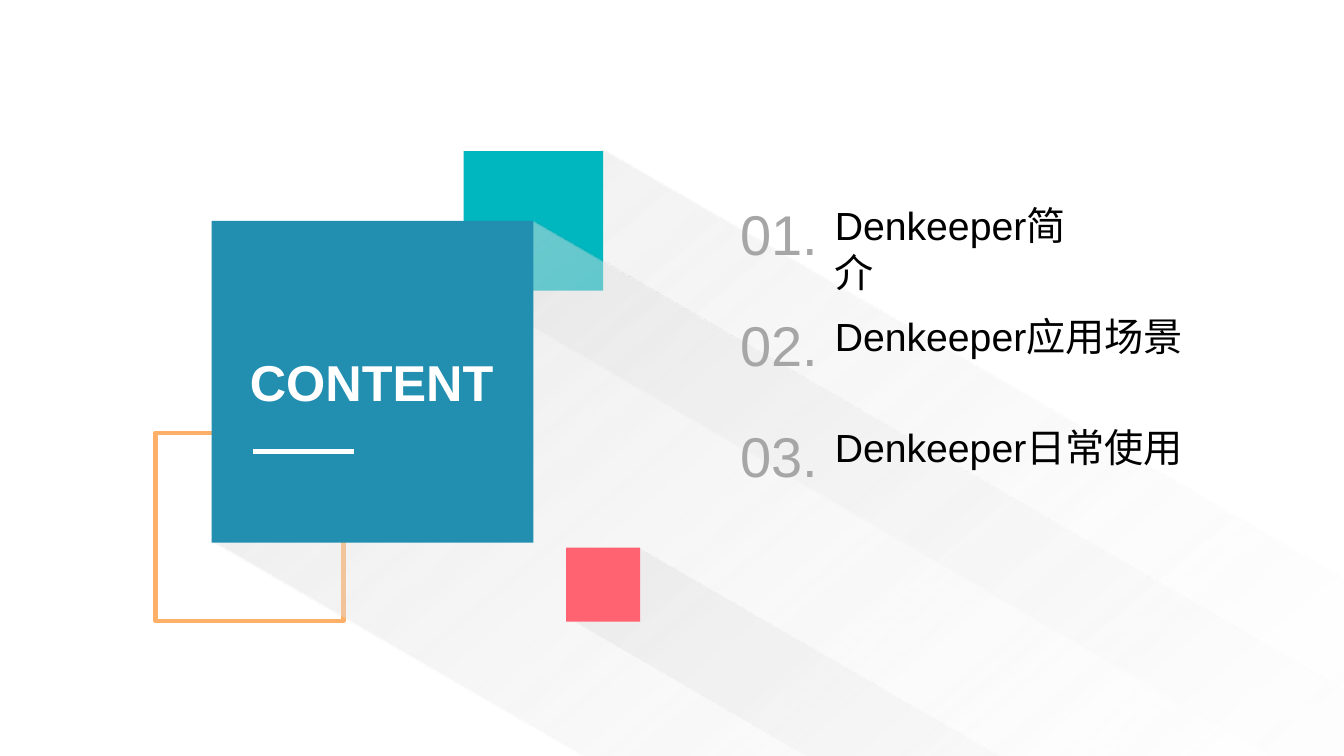
import math

import lxml.etree
import pptx
import pptx.dml.color
import pptx.enum.shapes
import pptx.enum.text
import pptx.oxml
import pptx.oxml.ns
import pptx.util

RGB = pptx.dml.color.RGBColor
WHITE = RGB(0xFF, 0xFF, 0xFF)
BLACK = RGB(0x00, 0x00, 0x00)
GREY = RGB(0xA6, 0xA6, 0xA6)
TEAL = RGB(0x00, 0xB6, 0xBF)
BLUE = RGB(0x22, 0x8E, 0xB0)
ORANGE = RGB(0xFE, 0xB0, 0x68)
RED = RGB(0xFF, 0x63, 0x72)
SHADE = RGB(0xD9, 0xD9, 0xD9)
PALE = RGB(0xF2, 0xF2, 0xF2)

# The slide is a grid of square cells.
COLS, ROWS = 160, 90
CELL = pptx.util.Inches(1) / 12
SHADOW_ANGLE = 30
FADE_ANGLE = 20

TITLE = {"size": pptx.util.Pt(36), "bold": True, "name": "Arial"}
NUMBER = {"size": pptx.util.Pt(40), "name": "Arial"}
ITEM = {"size": pptx.util.Pt(28), "name": "Arial"}

# Text and the columns its box spans
AGENDA = [("Denkeeper简介", 34.4), ("Denkeeper应用场景", 43.9),
          ("Denkeeper日常使用", 43.9)]
AGENDA_TOP, AGENDA_STEP = 23.2, 13.2


def cells(*values):
    """Turn grid units into EMU lengths."""
    return [pptx.util.Emu(round(v * CELL)) for v in values]


def add_square(s, left, top, side, fill=None, line=None):
    """Add a filled or outlined square."""
    sp = s.shapes.add_shape(pptx.enum.shapes.MSO_SHAPE.RECTANGLE,
                            *cells(left, top, side, side))
    sp.shadow.inherit = False
    if fill is not None:
        sp.fill.solid()
        sp.fill.fore_color.rgb = fill
    else:
        sp.fill.background()
    if line is not None:
        sp.line.color.rgb = line
        sp.line.width = pptx.util.Pt(3)
    else:
        sp.line.fill.background()


def fade(sp, opacity):
    """Fill a shape with grey that fades to nothing."""
    stops = "".join(
        f'<a:gs pos="{pos * 1000}"><a:srgbClr val="{color}">'
        f'<a:alpha val="{alpha * 1000}"/></a:srgbClr></a:gs>'
        for pos, color, alpha in [(0, SHADE, opacity), (85, PALE, 0), (100, WHITE, 0)])
    grad = pptx.oxml.parse_xml(
        f'<a:gradFill rotWithShape="1" {pptx.oxml.ns.nsdecls("a")}>'
        f'<a:gsLst>{stops}</a:gsLst>'
        f'<a:lin ang="{FADE_ANGLE * 60000}" scaled="0"/></a:gradFill>')
    sp.fill.background()
    no_fill = sp.element.spPr.find(pptx.oxml.ns.qn("a:noFill"))
    sp.element.spPr.replace(no_fill, grad)


def add_long_shadow(s, corners, center, opacity):
    """Add a slanted shadow, drawn level and then turned about its center."""
    cos = math.cos(math.radians(SHADOW_ANGLE))
    sin = math.sin(math.radians(SHADOW_ANGLE))
    cx, cy = center
    level = []
    for x, y in corners:
        dx, dy = x - cx, y - cy
        level.append(cells(cx + cos * dx + sin * dy, cy - sin * dx + cos * dy))
    outline = s.shapes.build_freeform(*level[0])
    outline.add_line_segments(level[1:], close=True)
    sp = outline.convert_to_shape()
    sp.rotation = SHADOW_ANGLE
    sp.shadow.inherit = False
    sp.line.fill.background()
    fade(sp, opacity)


def add_text(s, text, box, style, color, wrap=False, align="LEFT"):
    """Add one line of styled text in a box given in cells."""
    tf = s.shapes.add_textbox(*cells(*box)).text_frame
    tf.word_wrap = wrap
    p = tf.paragraphs[0]
    p.alignment = pptx.enum.text.PP_ALIGN[align]
    r = p.add_run()
    r.text = text
    for name, value in style.items():
        setattr(r.font, name, value)
    r.font.color.rgb = color


def add_rule(s, left, right, row):
    """Add the white rule under the title."""
    line = s.shapes.add_connector(pptx.enum.shapes.MSO_CONNECTOR.STRAIGHT,
                                  *cells(left, row, right, row))
    line.line.color.rgb = WHITE
    line.line.width = pptx.util.Pt(3)
    lxml.etree.SubElement(line.element.spPr, pptx.oxml.ns.qn("a:effectLst"))


def add_agenda(s):
    """Add the numbered agenda at an equal row step."""
    for i, (text, width) in enumerate(AGENDA):
        top = AGENDA_TOP + i * AGENDA_STEP
        add_text(s, text, (98.2, top + 0.2, width, 6.8), ITEM, BLACK, wrap=True)
        add_text(s, f"{i + 1:02}.", (87, top, 11.8, 9.2), NUMBER, GREY)


def main():
    """Build the content slide."""
    prs = pptx.Presentation()
    prs.slide_width, prs.slide_height = cells(COLS, ROWS)
    s = prs.slides.add_slide(prs.slide_layouts[6])

    add_long_shadow(s, [(55.6, 34.4), (71.6, 17.8), (190.2, 86.4), (178.9, 106)],
                    (122.9, 60.5), 40)
    add_square(s, 55.2, 18, 16.6, fill=TEAL)
    add_square(s, 18.5, 51.5, 22.4, line=ORANGE)
    add_long_shadow(s, [(25.2, 64.3), (63.5, 26.3), (165.1, 85.1), (139, 130.2)],
                    (95.2, 74.7), 60)
    add_square(s, 25.2, 26.3, 38.3, fill=BLUE)
    add_text(s, "CONTENT", (28.4, 41.2, 31.7, 8.5), TITLE, WHITE, align="CENTER")
    add_rule(s, 30.1, 42.1, 53.75)
    add_long_shadow(s, [(67.6, 73.6), (76.2, 65.4), (155.4, 111.1), (149.6, 121.2)],
                    (111.4, 92.4), 40)
    add_square(s, 67.4, 65.2, 8.8, fill=RED)
    add_agenda(s)

    prs.save("out.pptx")


main()
